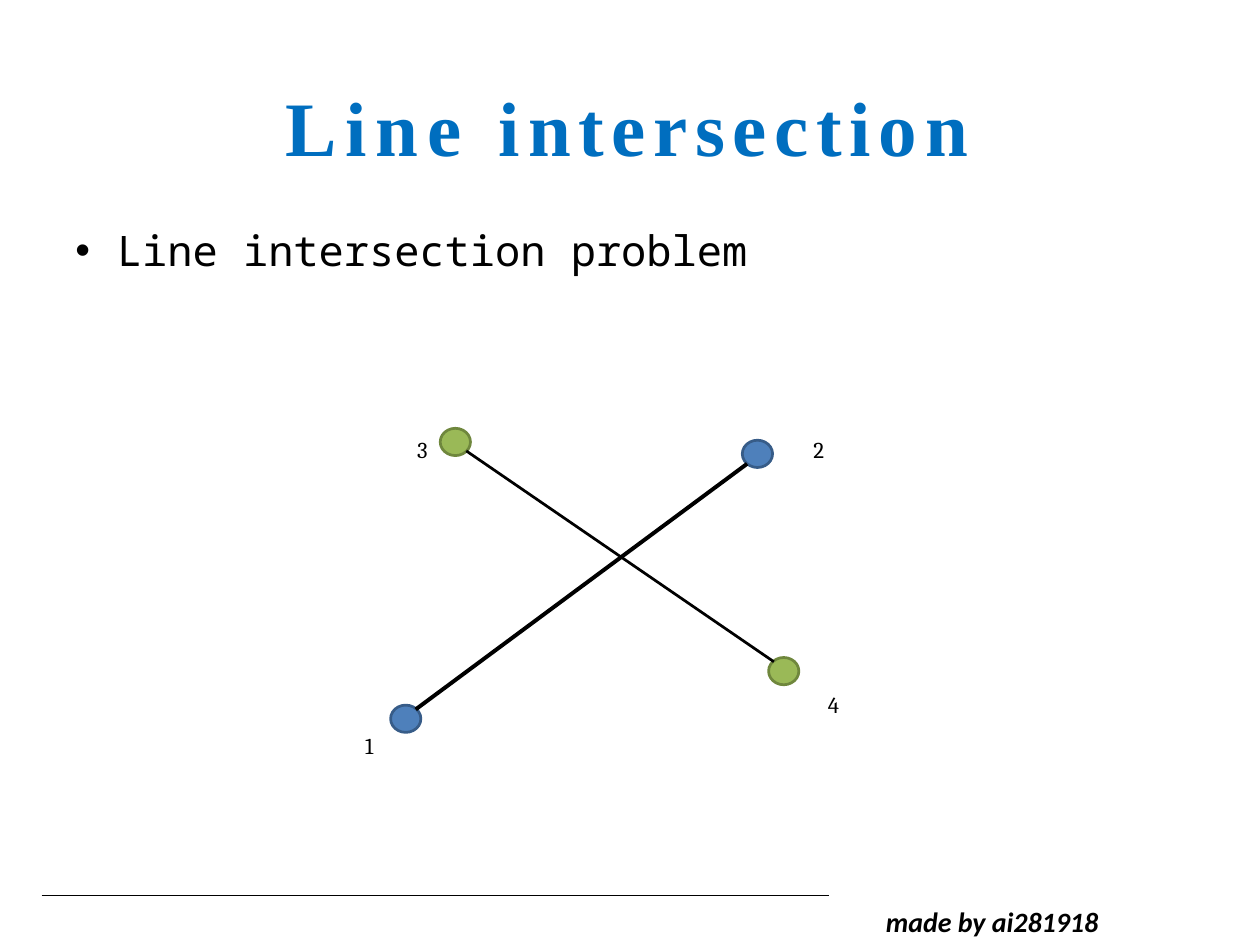
"""Build the line intersection slide."""
from typing import NamedTuple

from lxml import etree
from pptx import Presentation
from pptx import util as u
from pptx.dml.color import RGBColor
from pptx.enum import shapes, text
from pptx.oxml import ns
from pptx.slide import Slide
from pptx.text.text import _Paragraph as Paragraph


class Node(NamedTuple):
    label: str
    x: float
    y: float
    label_x: float
    label_y: float
    fill: str
    outline: str


class Segment(NamedTuple):
    x1: float
    y1: float
    x2: float
    y2: float
    width: float


BLACK = "000000"
BLUE, DARK_BLUE = "4E80BB", "375C88"
GREEN, DARK_GREEN = "9AB957", "6F873D"
NODE_WIDTH, NODE_HEIGHT = 0.61, 0.55
NODES = [
    Node("1", 8.18, 14.49, 7.36, 14.76, BLUE, DARK_BLUE),
    Node("2", 15.27, 9.15, 16.4, 8.79, BLUE, DARK_BLUE),
    Node("3", 9.18, 8.91, 8.41, 8.79, GREEN, DARK_GREEN),
    Node("4", 15.8, 13.53, 16.69, 13.92, GREEN, DARK_GREEN),
]
SEGMENTS = [
    Segment(0.84, 18.06, 16.71, 18.06, 0.48),
    Segment(8.38, 14.3, 15.06, 9.35, 2.28),
    Segment(9.4, 9.09, 15.6, 13.34, 1.56),
]


def color(value: str) -> RGBColor:
    return RGBColor.from_string(value)


def add_text(slide: Slide, content: str, left: float, top: float, width: float,
             height: float, font: str, size: float, ink: str = BLACK,
             bold: bool = False, italic: bool = False,
             bullet_indent: float = 0) -> Paragraph:
    box = slide.shapes.add_textbox(u.Cm(left), u.Cm(top), u.Cm(width), u.Cm(height))
    frame = box.text_frame
    frame.word_wrap = True
    frame.vertical_anchor = text.MSO_ANCHOR.TOP
    frame.margin_left = frame.margin_top = frame.margin_right = frame.margin_bottom = 0
    paragraph = frame.paragraphs[0]
    paragraph.text = content
    if bullet_indent:
        add_bullet(paragraph, bullet_indent)
    style = paragraph.font
    style.name, style.size = font, u.Pt(size)
    style.bold, style.italic = bold, italic
    style.color.rgb = color(ink)
    return paragraph


def add_bullet(paragraph: Paragraph, indent: float) -> None:
    properties = paragraph._p.get_or_add_pPr()
    properties.set("marL", str(u.Cm(indent)))
    properties.set("indent", str(-u.Cm(indent)))
    etree.SubElement(properties, ns.qn("a:buFont"), typeface="Arial")
    etree.SubElement(properties, ns.qn("a:buChar"), char="•")


def add_segment(slide: Slide, segment: Segment) -> None:
    line = slide.shapes.add_connector(
        shapes.MSO_CONNECTOR.STRAIGHT, u.Cm(segment.x1), u.Cm(segment.y1),
        u.Cm(segment.x2), u.Cm(segment.y2))
    line.line.color.rgb = color(BLACK)
    line.line.width = u.Pt(segment.width)
    etree.SubElement(line._element.spPr, ns.qn("a:effectLst"))


def add_node(slide: Slide, node: Node) -> None:
    circle = slide.shapes.add_shape(
        shapes.MSO_SHAPE.OVAL, u.Cm(node.x - NODE_WIDTH / 2),
        u.Cm(node.y - NODE_HEIGHT / 2), u.Cm(NODE_WIDTH), u.Cm(NODE_HEIGHT))
    circle.shadow.inherit = False
    circle.fill.solid()
    circle.fill.fore_color.rgb = color(node.fill)
    circle.line.color.rgb = color(node.outline)
    circle.line.width = u.Pt(1.56)
    add_text(slide, node.label, node.label_x, node.label_y, 0.6, 0.56, "Cambria", 13)


def main() -> None:
    presentation = Presentation()
    presentation.slide_width, presentation.slide_height = u.Cm(25.4), u.Cm(19.05)
    slide = presentation.slides.add_slide(presentation.slide_layouts[6])
    title = add_text(slide, "Line ", 5.75, 1.6, 14.5, 1.8, "Times New Roman", 44,
                     "006EBF", bold=True)
    title.add_run().text = "intersection"
    for run, spacing in zip(title.runs, (510, 440)):
        run._r.get_or_add_rPr().set("spc", str(spacing))
    add_text(slide, "Line intersection problem", 1.52, 4.53, 18, 1.2,
             "Noto Sans Mono", 24, bullet_indent=0.84)
    for node in NODES:
        add_node(slide, node)
    for segment in SEGMENTS:
        add_segment(slide, segment)
    add_text(slide, "made by ai281918", 17.86, 18.24, 4.65, 0.69, "Calibri", 16,
             bold=True, italic=True)
    presentation.save("out.pptx")


if __name__ == "__main__":
    main()
